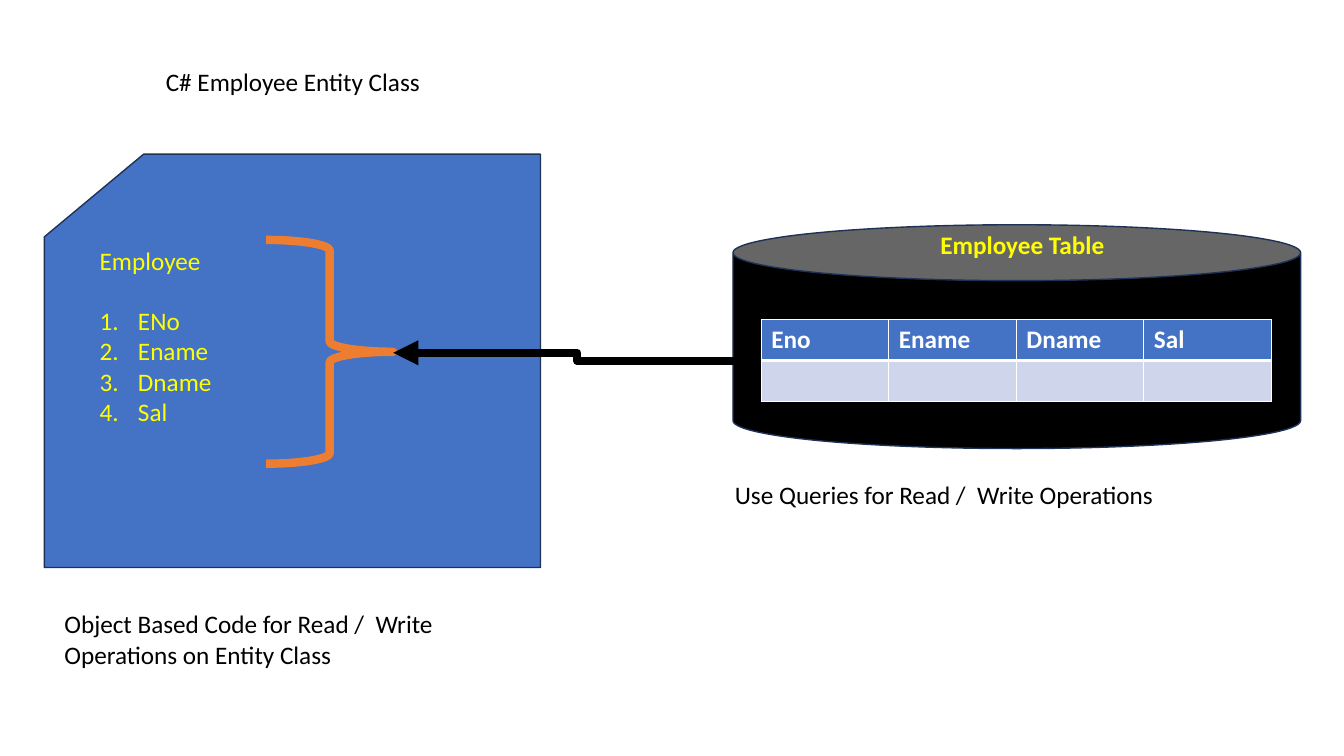
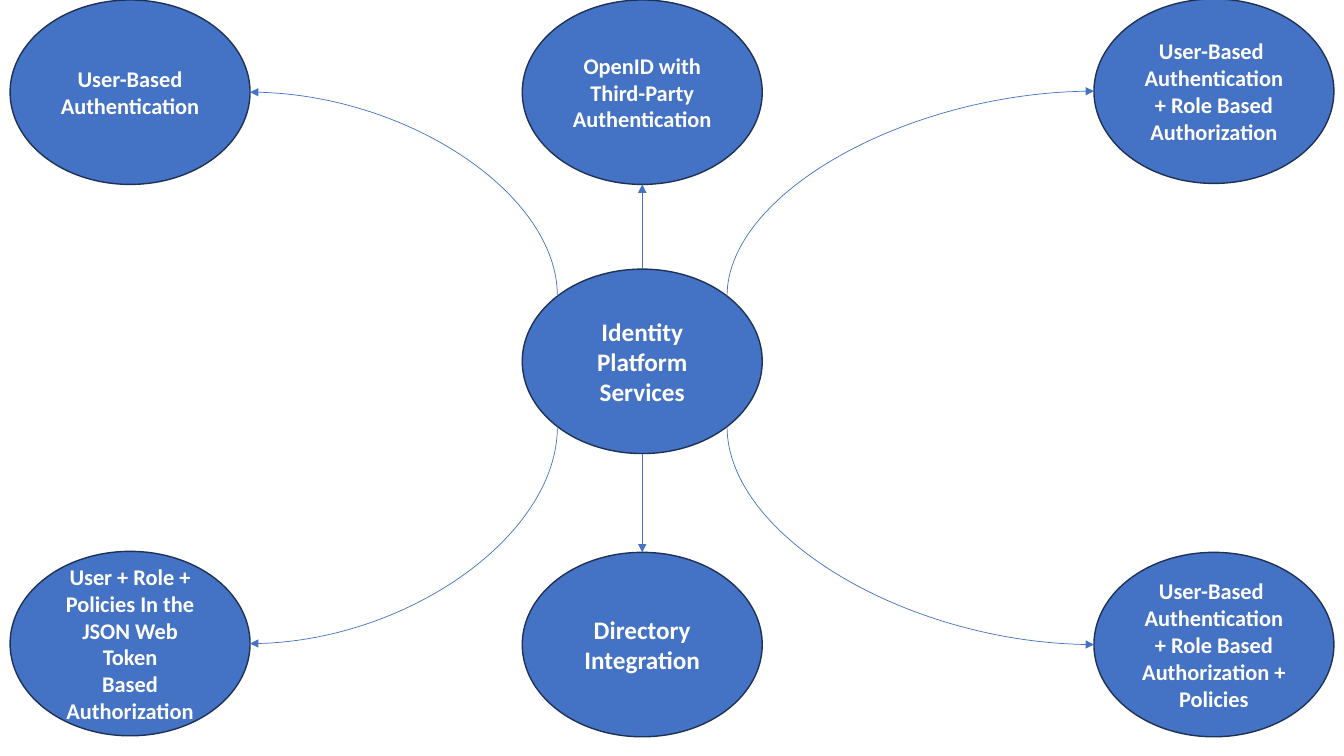
"""Build two slides: an entity class mapped to a table, and a hub of identity services."""
from dataclasses import dataclass
import math

import lxml.etree
import pptx
import pptx.dml.color
import pptx.enum.shapes
import pptx.enum.text
import pptx.oxml.ns
import pptx.presentation
import pptx.shapes.autoshape
import pptx.shapes.base
import pptx.shapes.connector
import pptx.slide
import pptx.table
import pptx.text.text
import pptx.util

Inches = pptx.util.Inches
Pt = pptx.util.Pt
RGBColor = pptx.dml.color.RGBColor
Shape = pptx.enum.shapes.MSO_SHAPE
Connector = pptx.enum.shapes.MSO_CONNECTOR
Align = pptx.enum.text.PP_ALIGN
qn = pptx.oxml.ns.qn

BLUE = RGBColor(0x44, 0x72, 0xC4)
NAVY = RGBColor(0x1E, 0x32, 0x56)
PALE_BLUE = RGBColor(0xCF, 0xD5, 0xEA)
ORANGE = RGBColor(0xED, 0x7D, 0x31)
YELLOW = RGBColor(0xFF, 0xFF, 0x00)
WHITE = RGBColor(0xFF, 0xFF, 0xFF)
BLACK = RGBColor(0x00, 0x00, 0x00)

FONT = "Calibri"
FIELDS = ["Eno", "Ename", "Dname", "Sal"]
OVAL_WIDTH, OVAL_HEIGHT = 2.38, 1.83
HUB_LEFT, HUB_TOP = 5.18, 2.67
SITE_TOP, SITE_LEFT, SITE_BOTTOM, SITE_RIGHT = 0, 2, 4, 6


@dataclass(frozen=True)
class Box:
    """Position and size in inches."""

    left: float
    top: float
    width: float
    height: float


@dataclass(frozen=True)
class Label:
    """A text box with one paragraph per line."""

    box: Box
    lines: tuple[str, ...]
    color: RGBColor = BLACK
    bold: bool = False
    align: pptx.enum.text.PP_ALIGN = Align.LEFT


@dataclass(frozen=True)
class Service:
    """An oval around the hub; column and row are -1, 0 or 1 from its centre."""

    left: float
    top: float
    column: int
    row: int
    lines: tuple[str, ...]
    size: int = 16


LABELS = [
    Label(Box(0.54, 0.61, 4.73, 0.4), ("C# Employee Entity Class",), align=Align.CENTER),
    Label(Box(9, 2.23, 2.28, 0.4), ("Employee Table",), YELLOW, True, Align.CENTER),
    Label(Box(7.19, 4.71, 4.73, 0.4), ("Use Queries for Read /  Write Operations",)),
    Label(Box(0.54, 5.99, 4.49, 0.71),
          ("Object Based Code for Read /  Write Operations on Entity Class",)),
]

SERVICES = [
    Service(0.1, 0, -1, -1, ("User-Based Authentication",)),
    Service(HUB_LEFT, 0, 0, -1, ("OpenID with Third-Party", "Authentication")),
    Service(10.85, -0.01, 1, -1,
            ("User-Based  Authentication + Role Based", "Authorization")),
    Service(0.1, 5.47, -1, 1,
            ("User + Role + Policies In the JSON Web Token", "Based", "Authorization")),
    Service(HUB_LEFT, 5.48, 0, 1, ("Directory", "Integration"), 18),
    Service(10.85, 5.48, 1, 1,
            ("User-Based  Authentication + Role Based", "Authorization +", "Policies")),
]


def write_lines(frame: pptx.text.text.TextFrame, lines: tuple[str, ...], size: int,
                color: RGBColor, bold: bool, align: pptx.enum.text.PP_ALIGN) -> None:
    """Fill a text frame with evenly formatted paragraphs."""
    frame.word_wrap = True
    frame.text = "\n".join(lines)
    for paragraph in frame.paragraphs:
        paragraph.alignment = align
        for run in paragraph.runs:
            run.font.name = FONT
            run.font.size = Pt(size)
            run.font.bold = bold
            run.font.color.rgb = color


def add_label(slide: pptx.slide.Slide, label: Label) -> pptx.shapes.autoshape.Shape:
    """Add a text box."""
    box = label.box
    shape = slide.shapes.add_textbox(
        Inches(box.left), Inches(box.top), Inches(box.width), Inches(box.height))
    write_lines(shape.text_frame, label.lines, 18, label.color, label.bold, label.align)
    return shape


def add_outlined(slide: pptx.slide.Slide, kind: Shape, box: Box, fill: RGBColor | None,
                 line: RGBColor = NAVY, weight: float = 1) -> pptx.shapes.autoshape.Shape:
    """Add a preset shape with a flat fill, or none, and an outline."""
    shape = slide.shapes.add_shape(
        kind, Inches(box.left), Inches(box.top), Inches(box.width), Inches(box.height))
    shape.shadow.inherit = False
    if fill is None:
        shape.fill.background()
    else:
        shape.fill.solid()
        shape.fill.fore_color.rgb = fill
    shape.line.color.rgb = line
    shape.line.width = Pt(weight)
    return shape


def finish_connector(connector: pptx.shapes.connector.Connector, color: RGBColor,
                     weight: float, arrows: tuple[str, ...]) -> None:
    """Style a connector, add its arrowheads and drop its shadow."""
    connector.line.color.rgb = color
    connector.line.width = Pt(weight)
    properties = connector.element.find(qn("p:spPr"))
    outline = properties.find(qn("a:ln"))
    for arrow in arrows:
        lxml.etree.SubElement(outline, qn(arrow), type="triangle")
    lxml.etree.SubElement(properties, qn("a:effectLst"))


def glue(connector: pptx.shapes.connector.Connector,
         start: pptx.shapes.base.BaseShape, start_site: int,
         end: pptx.shapes.base.BaseShape, end_site: int) -> None:
    """Attach both connector ends to connection sites."""
    links = connector.element.find(".//" + qn("p:cNvCxnSpPr"))
    for tag, shape, site in (("a:stCxn", start, start_site), ("a:endCxn", end, end_site)):
        lxml.etree.SubElement(links, qn(tag), id=str(shape.shape_id), idx=str(site))


def set_borders(cell: pptx.table._Cell, bottom: float) -> None:
    """Draw white borders round a cell, ahead of its fill."""
    properties = cell._tc.get_or_add_tcPr()
    for index, (side, weight) in enumerate(
            (("a:lnL", 1), ("a:lnR", 1), ("a:lnT", 1), ("a:lnB", bottom))):
        border = lxml.etree.Element(qn(side), w=str(Pt(weight)))
        fill = lxml.etree.SubElement(border, qn("a:solidFill"))
        lxml.etree.SubElement(fill, qn("a:srgbClr"), val=str(WHITE))
        properties.insert(index, border)


def add_employee_table(slide: pptx.slide.Slide) -> pptx.shapes.base.BaseShape:
    """Add the table with a header and one empty row."""
    frame = slide.shapes.add_table(
        2, len(FIELDS), Inches(7.55), Inches(3.17), Inches(5.06), Inches(0.81))
    for row_index, fill in enumerate((BLUE, PALE_BLUE)):
        for column_index, field in enumerate(FIELDS):
            cell = frame.table.cell(row_index, column_index)
            cell.fill.solid()
            cell.fill.fore_color.rgb = fill
            if row_index == 0:
                write_lines(cell.text_frame, (field,), 18, WHITE, True, Align.LEFT)
            set_borders(cell, 3 if row_index == 0 else 1)
    return frame


def add_field_list(slide: pptx.slide.Slide) -> None:
    """Add the class name with its numbered fields."""
    lines = ("Employee", "ENo", *FIELDS[1:])
    shape = add_label(slide, Label(Box(0.89, 2.38, 3.99, 2.22), lines, YELLOW))
    fields = shape.text_frame.paragraphs[1:]
    for paragraph in fields:
        properties = paragraph._p.get_or_add_pPr()
        properties.set("marL", str(Inches(0.38)))
        properties.set("indent", str(-Inches(0.38)))
        lxml.etree.SubElement(properties, qn("a:buFont"), typeface="+mj-lt")
        lxml.etree.SubElement(properties, qn("a:buAutoNum"), type="arabicPeriod")
    fields[0].space_before = Pt(21.6)


def build_mapping_slide(presentation: pptx.presentation.Presentation) -> None:
    """Show the entity class linked to its database table."""
    slide = presentation.slides.add_slide(presentation.slide_layouts[6])
    add_outlined(slide, Shape.CAN, Box(7.27, 2.23, 5.63, 2.22), BLACK)
    table = add_employee_table(slide)
    add_outlined(slide, Shape.FLOWCHART_CARD, Box(0.44, 1.53, 4.92, 4.1), BLUE)
    for label in LABELS:
        add_label(slide, label)
    add_field_list(slide)
    brace = add_outlined(
        slide, Shape.RIGHT_BRACE, Box(2.64, 2.38, 1.26, 2.22), None, ORANGE, 6)
    link = slide.shapes.add_connector(
        Connector.ELBOW, Inches(3.9), Inches(3.5), Inches(7.55), Inches(3.58))
    finish_connector(link, BLACK, 6, ("a:headEnd", "a:tailEnd"))
    glue(link, brace, 1, table, 1)


def add_oval(slide: pptx.slide.Slide, left: float, top: float, lines: tuple[str, ...],
             size: int) -> pptx.shapes.autoshape.Shape:
    """Add a service oval with centred bold text."""
    oval = add_outlined(slide, Shape.OVAL, Box(left, top, OVAL_WIDTH, OVAL_HEIGHT), BLUE)
    write_lines(oval.text_frame, lines, size, WHITE, True, Align.CENTER)
    return oval


def add_curve(slide: pptx.slide.Slide, start_x: float, start_y: float,
              end_x: float, end_y: float) -> pptx.shapes.connector.Connector:
    """Add a quarter curve that leaves vertically and arrives horizontally."""
    width, height = abs(end_y - start_y), abs(end_x - start_x)
    left = (start_x + end_x - width) / 2
    top = (start_y + end_y - height) / 2
    connector = slide.shapes.add_connector(
        Connector.CURVE, Inches(left), Inches(top), Inches(left + width), Inches(top + height))
    rightward, upward = end_x > start_x, end_y < start_y
    properties = connector.element.find(qn("p:spPr"))
    transform = properties.find(qn("a:xfrm"))
    transform.set("rot", str((90 if rightward == upward else 270) * 60000))
    transform.set("flipH", str(int(rightward)))
    transform.set("flipV", str(int(upward)))
    properties.find(qn("a:prstGeom")).set("prst", "curvedConnector2")
    return connector


def add_spoke(slide: pptx.slide.Slide, hub: pptx.shapes.autoshape.Shape,
              oval: pptx.shapes.autoshape.Shape, service: Service) -> None:
    """Add the arrow from the hub to one service."""
    hub_x, hub_y = HUB_LEFT + OVAL_WIDTH / 2, HUB_TOP + OVAL_HEIGHT / 2
    oval_x, oval_y = service.left + OVAL_WIDTH / 2, service.top + OVAL_HEIGHT / 2
    if service.column == 0:
        reach = service.row * OVAL_HEIGHT / 2
        connector = slide.shapes.add_connector(
            Connector.STRAIGHT, Inches(hub_x), Inches(hub_y + reach),
            Inches(oval_x), Inches(oval_y - reach))
        sites = (SITE_TOP, SITE_BOTTOM) if service.row < 0 else (SITE_BOTTOM, SITE_TOP)
    else:
        diagonal = math.sqrt(0.5) / 2
        connector = add_curve(
            slide, hub_x + service.column * OVAL_WIDTH * diagonal,
            hub_y + service.row * OVAL_HEIGHT * diagonal,
            oval_x - service.column * OVAL_WIDTH / 2, oval_y)
        hub_site = 4 + service.column * (2 - service.row)
        sites = (hub_site, SITE_RIGHT if service.column < 0 else SITE_LEFT)
    finish_connector(connector, BLUE, 0.5, ("a:tailEnd",))
    glue(connector, hub, sites[0], oval, sites[1])


def build_services_slide(presentation: pptx.presentation.Presentation) -> None:
    """Show the identity platform and the services around it."""
    slide = presentation.slides.add_slide(presentation.slide_layouts[6])
    hub = add_oval(slide, HUB_LEFT, HUB_TOP, ("Identity Platform", "Services"), 18)
    for service in SERVICES:
        oval = add_oval(slide, service.left, service.top, service.lines, service.size)
        add_spoke(slide, hub, oval, service)


def main() -> None:
    """Build and save the presentation."""
    presentation = pptx.Presentation()
    presentation.slide_width = Inches(13.33)
    presentation.slide_height = Inches(7.5)
    build_mapping_slide(presentation)
    build_services_slide(presentation)
    presentation.save("out.pptx")


if __name__ == "__main__":
    main()
